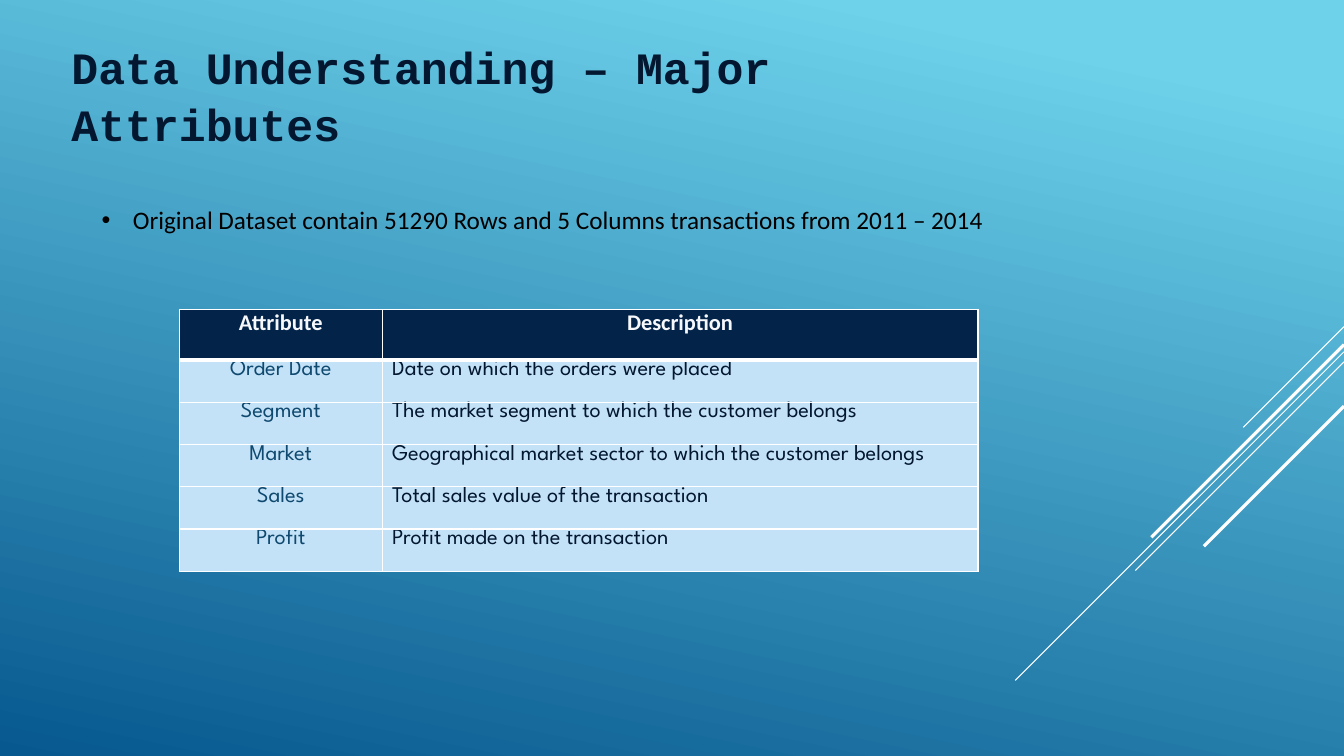
import pptx
import pptx.dml.color
import pptx.enum.shapes
import pptx.enum.text
import pptx.oxml
import pptx.oxml.ns
import pptx.util

Inches, Pt = pptx.util.Inches, pptx.util.Pt
RGBColor = pptx.dml.color.RGBColor
ALIGN = pptx.enum.text.PP_ALIGN

TITLE = "Data Understanding – Major Attributes"
FACT = "Original Dataset contain 51290 Rows and 5 Columns transactions from 2011 – 2014"
ATTRIBUTES = [
    ("Attribute", "Description"),
    ("Order Date", "Date on which the orders were placed"),
    ("Segment", "The market segment to which the customer belongs"),
    ("Market", "Geographical market sector to which the customer belongs"),
    ("Sales", "Total sales value of the transaction"),
    ("Profit", "Profit made on the transaction"),
]
# Diagonals run at 45 degrees from the right edge: (start height, run, width in points)
DIAGONALS = [(3.24, 1, 0.75), (3.49, 3.26, 0.75), (3.59, 2.07, 0.75),
             (3.42, 1.91, 2.25), (4.03, 1.39, 2.25)]

WIDTH, HEIGHT = 13.33, 7.5
COLUMN_WIDTHS = (2.01, 5.91)
HEADER_HEIGHT, ROW_HEIGHT = 0.5, 0.42

SKY = RGBColor(0x6E, 0xD2, 0xEB)
OCEAN = RGBColor(0x06, 0x58, 0x8E)
WHITE = RGBColor(0xFF, 0xFF, 0xFF)
BLACK = RGBColor(0, 0, 0)
INK = RGBColor(0x03, 0x17, 0x30)
NAVY = RGBColor(0x04, 0x23, 0x49)
PALE = RGBColor(0xF6, 0xF8, 0xFC)
STEEL = RGBColor(0x0F, 0x49, 0x6F)
ICE = RGBColor(0xC3, 0xE2, 0xF7)


def add_xml(parent, xml):
    """Append a drawing element, its a: prefix declared here."""
    head, rest = xml.split(" ", 1)
    element = pptx.oxml.parse_xml(f"{head} {pptx.oxml.ns.nsdecls('a')} {rest}")
    parent.append(element)


def write(frame, text, font, size, color, bold=False, align=ALIGN.LEFT, before=0):
    frame.word_wrap = True
    para = frame.paragraphs[0]
    para.alignment = align
    para.space_before = Pt(before)
    span = para.add_run()
    span.text = text
    span.font.name = font
    span.font.size = Pt(size)
    span.font.bold = bold
    span.font.color.rgb = color
    return para


def add_box(page, left, top, width, height):
    return page.shapes.add_textbox(
        Inches(left), Inches(top), Inches(width), Inches(height)).text_frame


def paint_background(page):
    fill = page.background.fill
    fill.gradient()
    fill.gradient_angle = 258
    for stop, color, position in zip(fill.gradient_stops, (SKY, OCEAN), (0.1, 1)):
        stop.color.rgb = color
        stop.position = position


def draw_diagonals(page):
    for top, run, width in DIAGONALS:
        line = page.shapes.add_connector(
            pptx.enum.shapes.MSO_CONNECTOR.STRAIGHT, Inches(WIDTH), Inches(top),
            Inches(WIDTH - run), Inches(top + run))
        line.line.color.rgb = WHITE
        line.line.width = Pt(width)
        add_xml(line._element.spPr, "<a:effectLst />")


def format_cell(cell, fill, top_width, bottom_width):
    cell.margin_top = cell.margin_bottom = 0
    properties = cell._tc.get_or_add_tcPr()
    for side, width in zip("LRTB", (1, 1, top_width, bottom_width)):
        add_xml(properties, f'<a:ln{side} w="{Pt(width)}"><a:solidFill>'
                            f'<a:srgbClr val="{WHITE}"/></a:solidFill></a:ln{side}>')
    cell.fill.solid()
    cell.fill.fore_color.rgb = fill


def add_attribute_table(page):
    heights = [HEADER_HEIGHT] + [ROW_HEIGHT] * (len(ATTRIBUTES) - 1)
    table = page.shapes.add_table(
        len(ATTRIBUTES), len(COLUMN_WIDTHS), Inches(1.78), Inches(3.07),
        Inches(sum(COLUMN_WIDTHS)), Inches(sum(heights))).table
    table.horz_banding = False
    for column, width in zip(table.columns, COLUMN_WIDTHS):
        column.width = Inches(width)
    for r, (row, height) in enumerate(zip(ATTRIBUTES, heights)):
        table.rows[r].height = Inches(height)
        for c, text in enumerate(row):
            cell = table.cell(r, c)
            format_cell(cell, ICE if r else NAVY,
                        3 if r == 1 else 1, 1 if r else 3)
            if r == 0:
                write(cell.text_frame, text, "Calibri", 16, PALE, bold=True,
                      align=ALIGN.CENTER, before=5.2)
            else:
                write(cell.text_frame, text, "League Spartan", 16,
                      INK if c else STEEL,
                      align=ALIGN.LEFT if c else ALIGN.CENTER)


def main():
    deck = pptx.Presentation()
    deck.slide_width, deck.slide_height = Inches(WIDTH), Inches(HEIGHT)
    page = deck.slides.add_slide(deck.slide_layouts[6])
    paint_background(page)
    draw_diagonals(page)

    title = add_box(page, 0.61, 0.26, 7.74, 0.64)
    title.margin_top = Inches(0.1)
    write(title, TITLE, "Courier New", 32, INK, bold=True).line_spacing = 1.06

    add_attribute_table(page)

    fact = write(add_box(page, 0.89, 1.98, 12.06, 1.42), FACT, "Calibri", 18,
                 BLACK, before=1)
    properties = fact._p.get_or_add_pPr()
    properties.set("marL", str(Inches(0.33)))
    properties.set("indent", str(Inches(-0.31)))
    add_xml(properties, '<a:buFont typeface="Arial"/>')
    add_xml(properties, '<a:buChar char="•"/>')

    deck.save("out.pptx")


if __name__ == "__main__":
    main()
